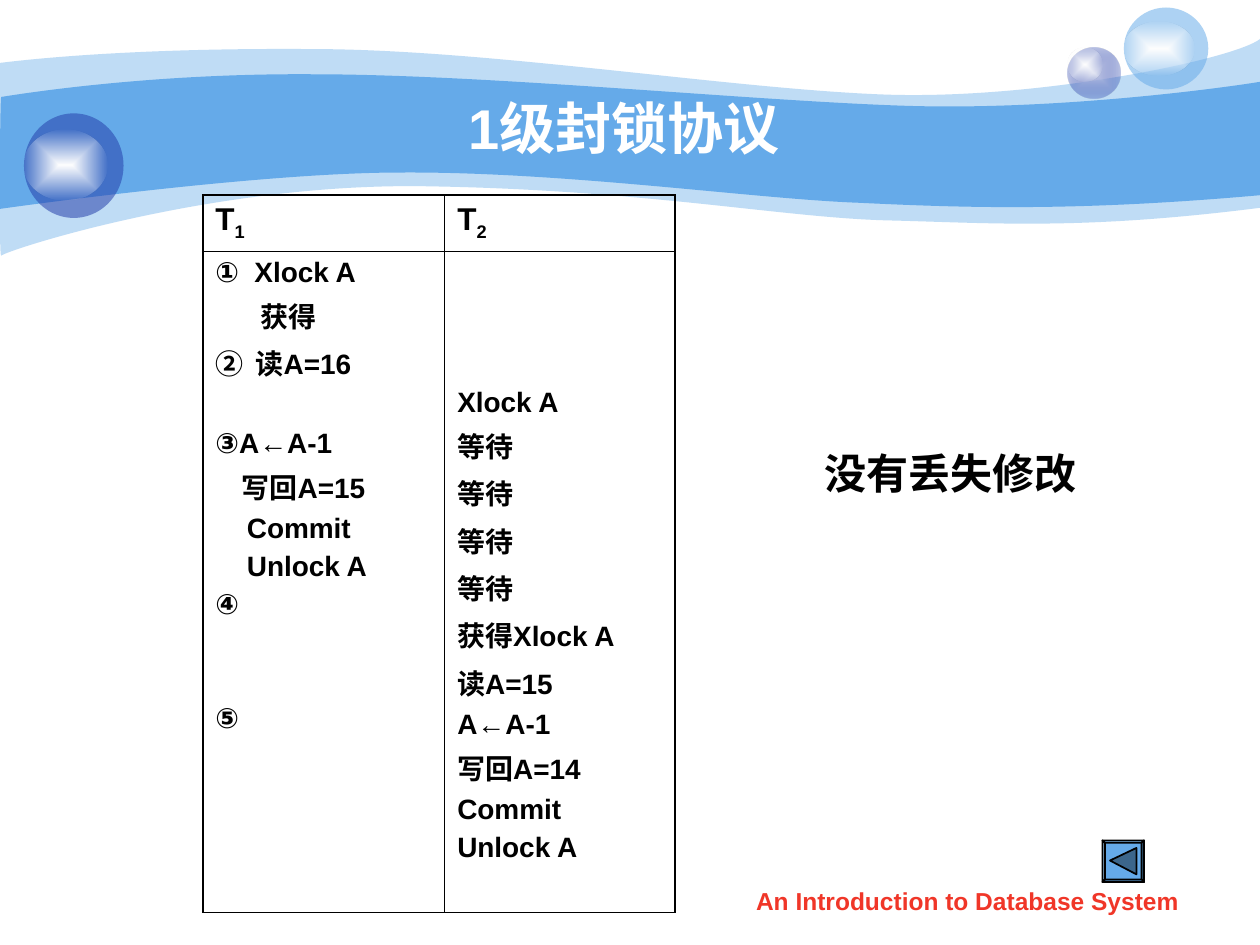
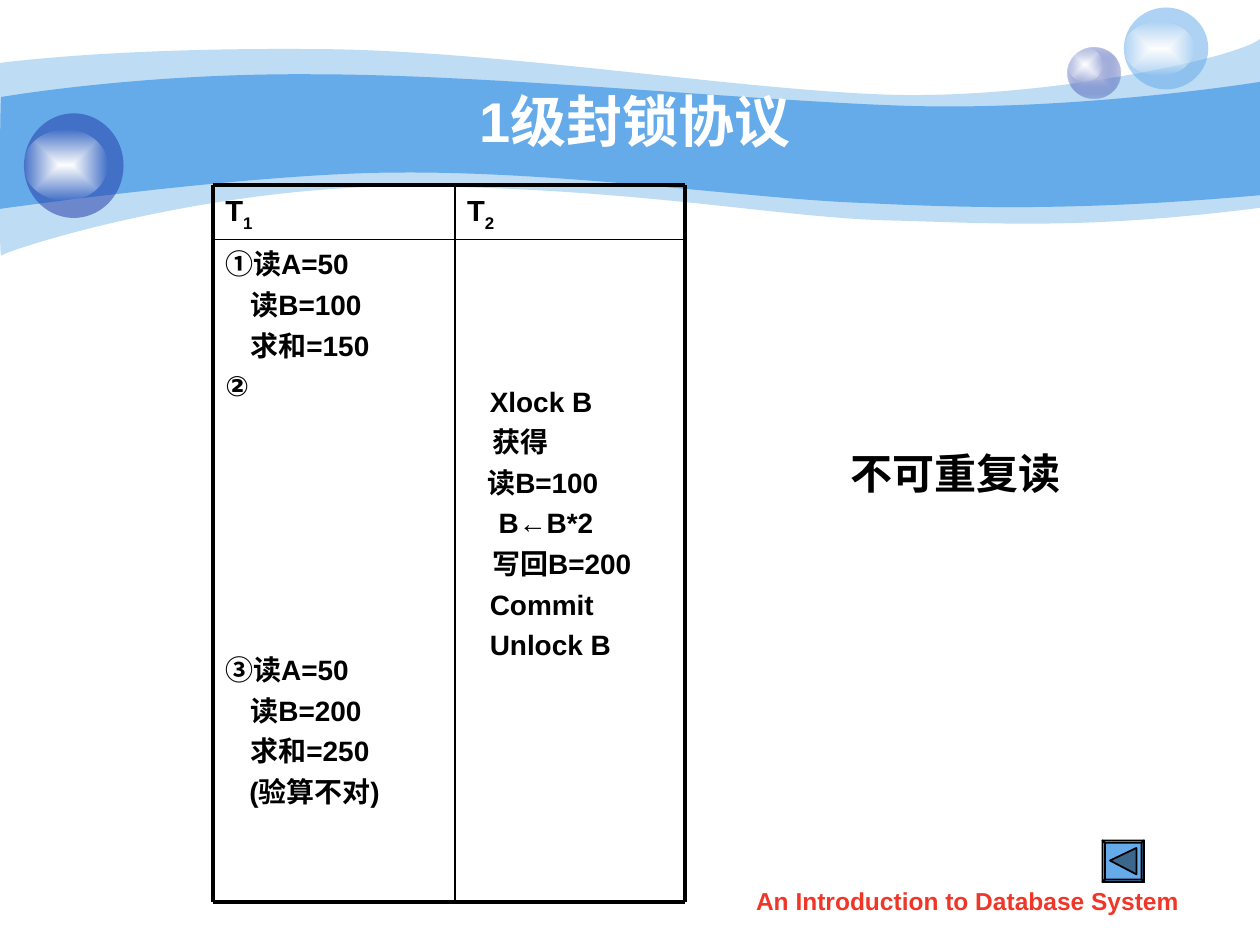
from dataclasses import dataclass

from lxml.etree import SubElement
from pptx import Presentation
from pptx.dml.color import RGBColor
from pptx.enum.shapes import MSO_CONNECTOR as Connector, MSO_SHAPE as Preset
from pptx.enum.text import MSO_ANCHOR as Anchor, PP_ALIGN as Align
from pptx.oxml import parse_xml
from pptx.oxml.ns import nsdecls, qn
from pptx.util import Inches, Pt

COLORS = {
    "band": "65AAE9",
    "navy": "233DA9",
    "lilac": "C6CCE8",
    "white": "FFFFFF",
    "glow_edge": "FEFEFE",
    "ink": "000000",
    "footer": "F03628",
}
TITLE = "1级封锁协议"
FOOTER = "An Introduction to Database System"
COLUMN_WIDTHS = (1.92, 1.83)

# Each wave: starting point, then segments of two numbers (line) or six (curve).
PALE_WAVE = [
    (0, 0.5),
    (0.24, 0.47, 1.07, 0.38, 2.47, 0.39),
    (3.86, 0.39, 5.75, 0.7, 6.99, 0.75),
    (8.22, 0.8, 9.8, 0.47, 10, 0.31),
    (10, 1.65),
    (8.58, 1.83, 7.87, 1.77, 7.05, 1.75),
    (6.22, 1.73, 5.15, 1.51, 3.43, 1.48),
    (1.72, 1.44, 0.04, 1.99, 0.01, 2.03),
    (-0.01, 2.08, 0, 0.75, 0, 0.5),
]
BRIGHT_WAVE = [
    (0.01, 0.77),
    (0.02, 0.77, 1.1, 0.58, 2.48, 0.59),
    (3.86, 0.59, 5.95, 0.8, 7.18, 0.84),
    (8.41, 0.88, 9.76, 0.69, 10, 0.65),
    (10, 1.55),
    (8.53, 1.68, 7.65, 1.65, 6.82, 1.61),
    (5.99, 1.58, 4.47, 1.36, 3.17, 1.37),
    (2.03, 1.37, -0.02, 1.66, -0.01, 1.66),
    (0, 1.66, 0, 0.77, 0.01, 0.77),
]


@dataclass
class Step:
    """One line of a transaction; a tab in the text jumps to the indent."""
    text: str
    indent: float = 0
    blanks: int = 0


@dataclass
class Schedule:
    """Two transactions side by side; t2_top is the inset above the second one."""
    left: float
    top: float
    heights: tuple
    header_size: float
    outer_line: float
    inner_line: float
    t1: list
    t2: list
    t2_top: float
    blank_height: float
    line_height: float = None


NO_LOST_UPDATE = Schedule(
    left=1.61, top=1.55, heights=(0.44, 5.25), header_size=18,
    outer_line=1.08, inner_line=0.45, t2_top=1.08, blank_height=21.7,
    t1=[
        Step("①\tXlock A", 0.31),
        Step("获得", 0.36),
        Step("②\t读A=16", 0.32),
        Step("③A←A-1", blanks=1),
        Step("写回A=15", 0.21),
        Step("Commit", 0.25),
        Step("Unlock A", 0.25),
        Step("④"),
        Step("⑤", blanks=2),
    ],
    t2=[Step(text) for text in (
        "Xlock A", *["等待"] * 4, "获得Xlock A", "读A=15",
        "A←A-1", "写回A=14", "Commit", "Unlock A")],
)
UNREPEATABLE_READ = Schedule(
    left=1.69, top=1.47, heights=(0.43, 5.26), header_size=16.6,
    outer_line=2.25, inner_line=1, t2_top=1.15, blank_height=23.2, line_height=19.2,
    t1=[
        Step("①读A=50"),
        Step("读B=100", 0.2),
        Step("求和=150", 0.2),
        Step("②"),
        Step("③读A=50", blanks=6),
        Step("读B=200", 0.2),
        Step("求和=250", 0.2),
        Step("(验算不对)", 0.19),
    ],
    t2=[
        Step("Xlock B", 0.18),
        Step("获得", 0.2),
        Step("读B=100", 0.16),
        Step("B←B*2", 0.25),
        Step("写回B=200", 0.2),
        Step("Commit", 0.18),
        Step("Unlock B", 0.18),
    ],
)


def rgb(color):
    return RGBColor.from_string(COLORS[color])


def style_font(paragraph, size, color="ink", name="Arial"):
    font = paragraph.font
    font.size, font.bold, font.name = Pt(size), True, name
    font.color.rgb = rgb(color)


def fill_solid(shape, color, alpha=100):
    shape.shadow.inherit = False
    shape.line.fill.background()
    shape.fill.solid()
    shape.fill.fore_color.rgb = rgb(color)
    if alpha < 100:
        tint = shape.fill._xPr.find(".//" + qn("a:srgbClr"))
        SubElement(tint, qn("a:alpha"), val=str(alpha * 1000))


def fill_glow(shape, center, edge, edge_alpha):
    """Gradient that spreads from the middle to a see-through edge."""
    fill_solid(shape, center)
    solid = shape.fill._xPr.find(qn("a:solidFill"))
    gradient = parse_xml(
        f'<a:gradFill {nsdecls("a")} rotWithShape="1"><a:gsLst>'
        f'<a:gs pos="0"><a:srgbClr val="{COLORS[center]}"/></a:gs>'
        f'<a:gs pos="100000"><a:srgbClr val="{COLORS[edge]}">'
        f'<a:alpha val="{edge_alpha * 1000}"/></a:srgbClr></a:gs></a:gsLst>'
        '<a:path path="rect"><a:fillToRect l="50000" t="50000" r="50000" b="50000"/>'
        '</a:path></a:gradFill>')
    solid.getparent().replace(solid, gradient)


def add_outline(slide, contours):
    builder = None
    for contour in contours:
        start, *rest = [(Inches(x), Inches(y)) for x, y in contour]
        if builder:
            builder.move_to(*start)
        else:
            builder = slide.shapes.build_freeform(*start, scale=1.0)
        builder.add_line_segments(rest, close=True)
    return builder.convert_to_shape()


def add_wave(slide, wave, alpha=100):
    """Outline the wave through all its points, then bend each group of three into a curve."""
    pairs = [list(zip(segment[::2], segment[1::2])) for segment in wave]
    shape = add_outline(slide, [[point for group in pairs for point in group]])
    lines = iter(list(shape._element.iter(qn("a:lnTo"))))
    for group in pairs[1:]:
        legs = [next(lines) for _ in group]
        if len(legs) == 3:
            curve = parse_xml(f'<a:cubicBezTo {nsdecls("a")}/>')
            legs[0].addprevious(curve)
            for leg in legs:
                curve.append(leg[0])
                leg.getparent().remove(leg)
    fill_solid(shape, "band", alpha)


def add_bubble(slide, box):
    return slide.shapes.add_shape(Preset.OVAL, *map(Inches, box))


def add_bubbles(slide):
    fill_glow(add_bubble(slide, (8.47, 0.38, 0.42, 0.4)), "lilac", "navy", 31)
    fill_glow(add_bubble(slide, (8.47, 0.38, 0.28, 0.27)), "white", "glow_edge", 0)
    for ball, color, shine in (
            ((8.92, 0.06, 0.67, 0.65), "band", (8.92, 0.17, 0.56, 0.43)),
            ((0.19, 0.9, 0.79, 0.83), "navy", (0.19, 1.03, 0.66, 0.56))):
        fill_solid(add_bubble(slide, ball), color, 53)
        fill_glow(add_bubble(slide, shine), "white", "glow_edge", 0)


def add_label(slide, text, box, size, color="ink", name="Arial", anchor=Anchor.MIDDLE, wrap=True):
    frame = slide.shapes.add_textbox(*map(Inches, box)).text_frame
    frame.word_wrap, frame.vertical_anchor = wrap, anchor
    paragraph = frame.paragraphs[0]
    paragraph.text, paragraph.alignment = text, Align.CENTER
    style_font(paragraph, size, color, name)


def add_back_button(slide):
    """Bevelled button in one outline, each facet with its own shade."""
    outer = [(8.75, 6.67), (9.08, 6.67), (9.08, 7), (8.75, 7)]
    inner = [(8.77, 6.69), (9.06, 6.69), (9.06, 6.98), (8.77, 6.98)]
    facets = [[outer[i], outer[(i + 1) % 4], inner[(i + 1) % 4], inner[i]] for i in range(4)]
    arrow = [(8.81, 6.83), (9.02, 6.73), (9.02, 6.94)]
    button = add_outline(slide, [outer, *facets, arrow])
    fill_solid(button, "band")
    button.line.color.rgb = rgb("ink")
    button.line.width = Pt(1)
    whole = button._element.find(".//" + qn("a:path"))
    shades = iter(("norm", "lightenLess", "darken", "darkenLess", "lighten", "darken"))
    for command in list(whole):
        if command.tag == qn("a:moveTo"):
            part = SubElement(whole.getparent(), qn("a:path"), w=whole.get("w"),
                              h=whole.get("h"), fill=next(shades))
        part.append(command)
    whole.getparent().remove(whole)


def set_borders(cell, widths):
    """Draw the cell's left, right, top and bottom edges, in that order."""
    properties = cell._tc.get_or_add_tcPr()
    for side, width in zip("LRTB", widths):
        edge = SubElement(properties, qn(f"a:ln{side}"), w=str(Pt(width)))
        ink = SubElement(edge, qn("a:solidFill"))
        SubElement(ink, qn("a:srgbClr"), val=COLORS["ink"])
    cell.fill.background()


def write_header(frame, number, size):
    paragraph = frame.paragraphs[0]
    style_font(paragraph, size)
    paragraph.add_run().text = "T"
    subscript = paragraph.add_run()
    subscript.text = str(number)
    subscript._r.get_or_add_rPr().set("baseline", "-25000")


def write_steps(frame, steps, schedule):
    for index, step in enumerate(steps):
        paragraph = frame.add_paragraph() if index else frame.paragraphs[0]
        paragraph.text = step.text
        properties = paragraph._p.get_or_add_pPr()
        properties.set("marL", str(Inches(step.indent)))
        properties.set("indent", str(-Inches(step.indent) if "\t" in step.text else 0))
        if schedule.line_height:
            paragraph.line_spacing = Pt(schedule.line_height)
        if index:
            paragraph.space_before = Pt(4 + step.blanks * schedule.blank_height)
        style_font(paragraph, 16)


def add_table_schedule(slide, schedule):
    grid = slide.shapes.add_table(
        2, 2, Inches(schedule.left), Inches(schedule.top),
        Inches(sum(COLUMN_WIDTHS)), Inches(sum(schedule.heights))).table
    grid.first_row = grid.horz_banding = False
    outer, inner = schedule.outer_line, schedule.inner_line
    edges = ((outer, inner), (inner, outer))
    for i in range(2):
        grid.columns[i].width = Inches(COLUMN_WIDTHS[i])
        grid.rows[i].height = Inches(schedule.heights[i])
        for j in range(2):
            set_borders(grid.cell(i, j), edges[j] + edges[i])
    for column, steps in enumerate((schedule.t1, schedule.t2)):
        write_header(grid.cell(0, column).text_frame, column + 1, schedule.header_size)
        write_steps(grid.cell(1, column).text_frame, steps, schedule)
    grid.cell(1, 1).margin_top = Inches(schedule.t2_top)


def add_rule(slide, start, end, width):
    rule = slide.shapes.add_connector(Connector.STRAIGHT, *map(Inches, start + end))
    rule.line.color.rgb = rgb("ink")
    rule.line.width = Pt(width)
    SubElement(rule._element.spPr, qn("a:effectLst"))


def add_ruled_schedule(slide, schedule):
    """Schedule of text boxes between separately drawn rules."""
    left, top = schedule.left, schedule.top
    xs = (left, left + COLUMN_WIDTHS[0], left + sum(COLUMN_WIDTHS))
    ys = (top, top + schedule.heights[0], top + sum(schedule.heights))

    def add_box(column, row, inset):
        box = (xs[column], ys[row], COLUMN_WIDTHS[column], schedule.heights[row])
        frame = slide.shapes.add_textbox(*map(Inches, box)).text_frame
        frame.word_wrap, frame.margin_top = True, Inches(inset)
        return frame

    for column, (steps, inset) in enumerate(((schedule.t1, 0.06), (schedule.t2, schedule.t2_top))):
        write_steps(add_box(column, 1, inset), steps, schedule)
        write_header(add_box(column, 0, 0.06), column + 1, schedule.header_size)
    weights = (schedule.outer_line, schedule.inner_line, schedule.outer_line)
    for y, weight in zip(ys, weights):
        add_rule(slide, (xs[0], y), (xs[2], y), weight)
    for x, weight in zip(xs, weights):
        add_rule(slide, (x, ys[0]), (x, ys[2]), weight)


def add_protocol_slide(deck, title_box, add_schedule, schedule, verdict, verdict_left):
    slide = deck.slides.add_slide(deck.slide_layouts[6])
    add_wave(slide, PALE_WAVE, 41)
    add_wave(slide, BRIGHT_WAVE)
    add_bubbles(slide)
    add_label(slide, TITLE, title_box, 32, "white")
    add_schedule(slide, schedule)
    add_label(slide, verdict, (verdict_left, 3.42, 2.83, 0.67), 24,
              name="Times New Roman", wrap=False)
    add_back_button(slide)
    add_label(slide, FOOTER, (5.71, 6.98, 3.94, 0.35), 14, "footer", anchor=Anchor.TOP)


def main():
    deck = Presentation()
    deck.slide_width, deck.slide_height = Inches(10), Inches(7.5)
    add_protocol_slide(deck, (0.9, 0.76, 8.11, 0.49), add_table_schedule,
                       NO_LOST_UPDATE, "没有丢失修改", 6.13)
    add_protocol_slide(deck, (1, 0.75, 8.08, 0.41), add_ruled_schedule,
                       UNREPEATABLE_READ, "不可重复读", 6.17)
    deck.save("out.pptx")


if __name__ == "__main__":
    main()
